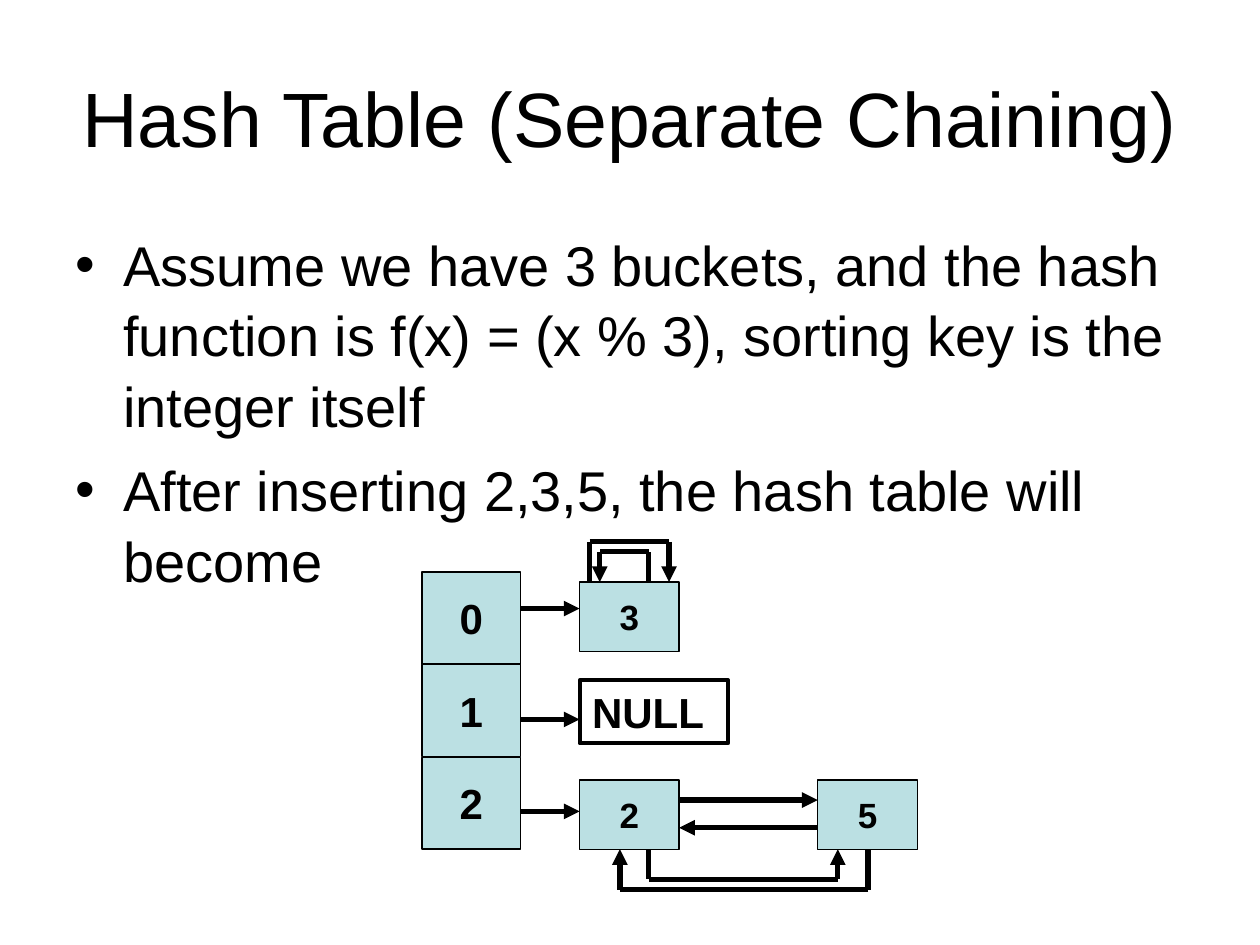
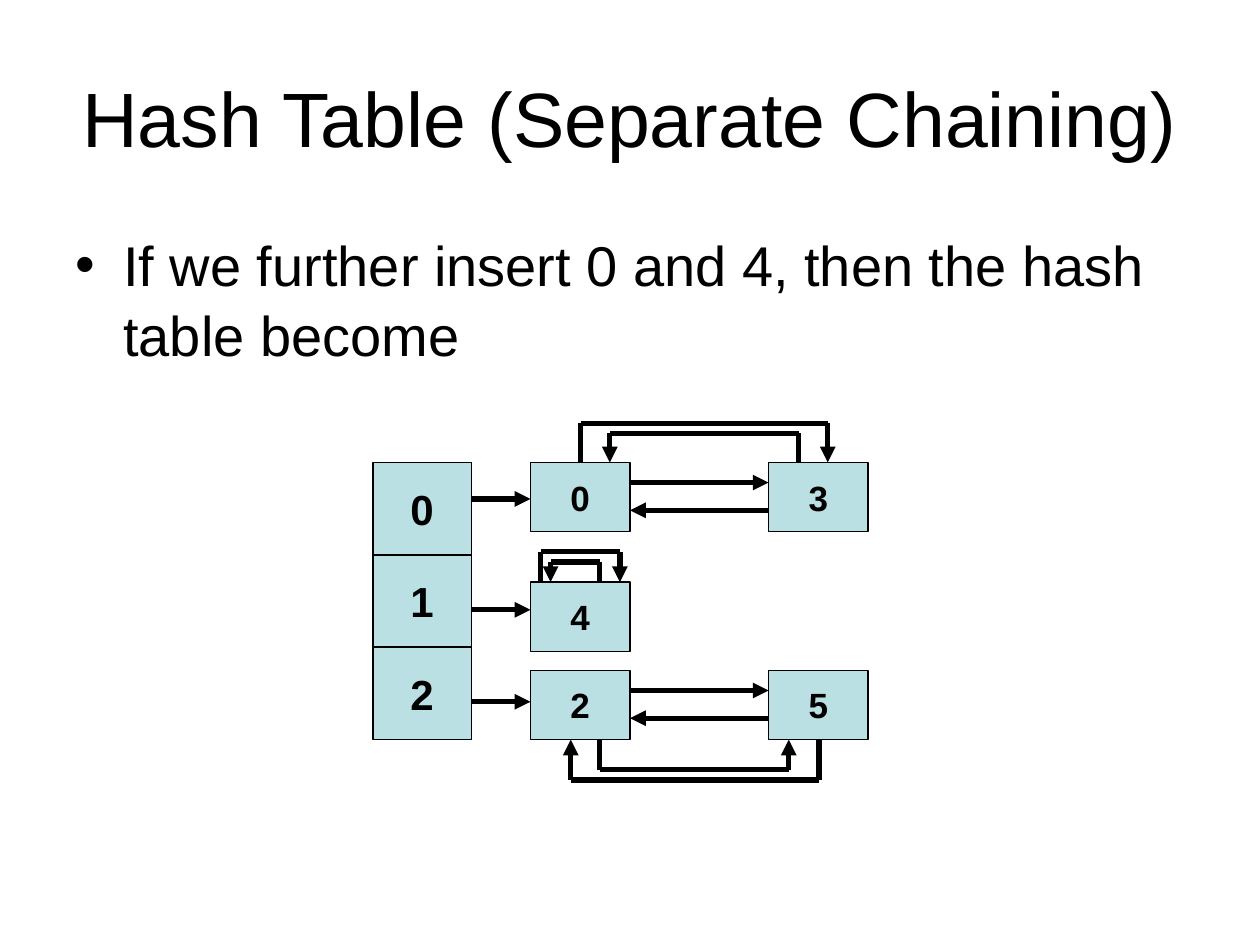
from dataclasses import dataclass

from lxml import etree
from pptx import Presentation
from pptx.dml.color import RGBColor
from pptx.enum.shapes import MSO_CONNECTOR, MSO_SHAPE
from pptx.enum.text import MSO_ANCHOR, PP_ALIGN
from pptx.oxml.ns import qn
from pptx.util import Inches, Pt

RECT = MSO_SHAPE.RECTANGLE
STRAIGHT = MSO_CONNECTOR.STRAIGHT
LEFT, CENTER = PP_ALIGN.LEFT, PP_ALIGN.CENTER
TOP, MIDDLE = MSO_ANCHOR.TOP, MSO_ANCHOR.MIDDLE

COLORS = {"ink": "000000", "cell": "BBE0E3"}
FONT = "Arial"
TITLE = "Hash Table (Separate Chaining)"

BUCKET_W, BUCKET_H = 0.78, 0.73
BUCKET_PITCH = 0.735
POINTER_Y = (0.29, 1.17, 1.9)
NODE_W, NODE_H = 0.79, 0.55
NODE_DX, NODE_PITCH = 1.25, 1.89
NEXT_DY, PREV_DY = 0.16, 0.38


@dataclass(frozen=True)
class Loop:
    start: float
    end: float
    depth: float


@dataclass(frozen=True)
class Chain:
    keys: tuple[str, ...]
    y: float
    loops: tuple[Loop, ...]


@dataclass(frozen=True)
class HashSlide:
    bullets: tuple[str, ...]
    x: float
    y: float
    chains: tuple[Chain, ...]
    null_y: float | None = None


BELOW = (Loop(2.29, 0.32, 0.32), Loop(0.55, 2.05, 0.24))
ABOVE = (Loop(0.4, 2.36, -0.31), Loop(2.13, 0.63, -0.23))


def self_loops(depth: float) -> tuple[Loop, ...]:
    return Loop(0.08, 0.71, -depth), Loop(0.55, 0.16, 0.08 - depth)


SLIDES = (
    HashSlide(
        ("Assume we have 3 buckets, and the hash function is f(x) = (x % 3), "
         "sorting key is the integer itself",
         "After inserting 2,3,5, the hash table will become"),
        3.35, 4.54,
        (Chain(("3",), 4.62, self_loops(0.32)),
         Chain(("2", "5"), 6.19, BELOW)),
        null_y=5.4,
    ),
    HashSlide(
        ("If we further insert 0 and 4, then the hash table become",),
        2.96, 3.67,
        (Chain(("0", "3"), 3.67, ABOVE),
         Chain(("4",), 4.62, self_loops(0.24)),
         Chain(("2", "5"), 5.32, BELOW)),
    ),
)


def rgb(name: str) -> RGBColor:
    return RGBColor.from_string(COLORS[name])


def add_bullet(p) -> None:
    pPr = p._p.get_or_add_pPr()
    pPr.set("marL", str(Inches(0.38)))
    pPr.set("indent", str(-Inches(0.38)))
    etree.SubElement(pPr, qn("a:buFont")).set("typeface", FONT)
    etree.SubElement(pPr, qn("a:buChar")).set("char", "•")


def write(sp, *texts: str, size: float, bold: bool = False, align=CENTER,
          anchor=MIDDLE, wrap: bool = True, bullet: bool = False,
          spacing: float | None = None) -> None:
    tf = sp.text_frame
    tf.word_wrap = wrap
    tf.vertical_anchor = anchor
    for i, text in enumerate(texts):
        p = tf.paragraphs[0] if i == 0 else tf.add_paragraph()
        if bullet:
            add_bullet(p)
        p.alignment = align
        p.line_spacing = spacing
        if i:
            p.space_before = Pt(8)
        r = p.add_run()
        r.text = text
        r.font.name = FONT
        r.font.size = Pt(size)
        r.font.bold = bold
        r.font.color.rgb = rgb("ink")


def add_text(s, x: float, y: float, w: float, h: float, *texts: str, **fmt) -> None:
    sp = s.shapes.add_textbox(Inches(x), Inches(y), Inches(w), Inches(h))
    write(sp, *texts, **fmt)


def add_box(s, x: float, y: float, w: float, h: float, text: str, *,
            fill: str | None = "cell", line: float = 0.75, **fmt) -> None:
    sp = s.shapes.add_shape(RECT, Inches(x), Inches(y), Inches(w), Inches(h))
    sp.shadow.inherit = False
    if fill:
        sp.fill.solid()
        sp.fill.fore_color.rgb = rgb(fill)
    else:
        sp.fill.background()
    sp.line.color.rgb = rgb("ink")
    sp.line.width = Pt(line)
    write(sp, text, bold=True, **fmt)


def add_line(s, x1: float, y1: float, x2: float, y2: float, arrow: bool = False) -> None:
    cx = s.shapes.add_connector(STRAIGHT, Inches(x1), Inches(y1), Inches(x2), Inches(y2))
    cx.line.color.rgb = rgb("ink")
    cx.line.width = Pt(3)
    if arrow:
        etree.SubElement(cx.line._get_or_add_ln(), qn("a:tailEnd")).set("type", "triangle")
    etree.SubElement(cx._element.spPr, qn("a:effectLst"))


def add_loop(s, x: float, y: float, loop: Loop) -> None:
    x1, x2, turn = x + loop.start, x + loop.end, y + loop.depth
    add_line(s, x1, y, x1, turn)
    add_line(s, x1, turn, x2, turn)
    add_line(s, x2, turn, x2, y, arrow=True)


def add_buckets(s, x: float, y: float) -> None:
    for i, dy in enumerate(POINTER_Y):
        add_box(s, x, y + i * BUCKET_PITCH, BUCKET_W, BUCKET_H, str(i), size=24, wrap=False)
        add_line(s, x + BUCKET_W, y + dy, x + NODE_DX, y + dy, arrow=True)


def add_chain(s, x: float, chain: Chain) -> None:
    for i, key in enumerate(chain.keys):
        left = x + i * NODE_PITCH
        add_box(s, left, chain.y, NODE_W, NODE_H, key, size=20, wrap=False)
        if i:
            prev_right = left - NODE_PITCH + NODE_W
            next_y, prev_y = chain.y + NEXT_DY, chain.y + PREV_DY
            add_line(s, prev_right, next_y, left, next_y, arrow=True)
            add_line(s, left, prev_y, prev_right, prev_y, arrow=True)
    for loop in chain.loops:
        edge = chain.y + (NODE_H if loop.depth > 0 else 0)
        add_loop(s, x, edge, loop)


def add_hash_slide(prs, data: HashSlide) -> None:
    s = prs.slides.add_slide(prs.slide_layouts[6])
    add_text(s, 0.5, 0.3, 9, 1.25, TITLE, size=44)
    add_text(s, 0.5, 1.75, 9, 4.95, *data.bullets, size=32, align=LEFT,
             anchor=TOP, bullet=True, spacing=1.05)
    add_buckets(s, data.x, data.y)
    node_x = data.x + NODE_DX
    for chain in data.chains:
        add_chain(s, node_x, chain)
    if data.null_y is not None:
        add_box(s, node_x, data.null_y, 1.18, 0.5, "NULL", fill=None, line=2.25,
                size=24, align=LEFT, anchor=TOP)


def main() -> None:
    prs = Presentation()
    prs.slide_width, prs.slide_height = Inches(10), Inches(7.5)
    for data in SLIDES:
        add_hash_slide(prs, data)
    prs.save("out.pptx")


if __name__ == "__main__":
    main()
